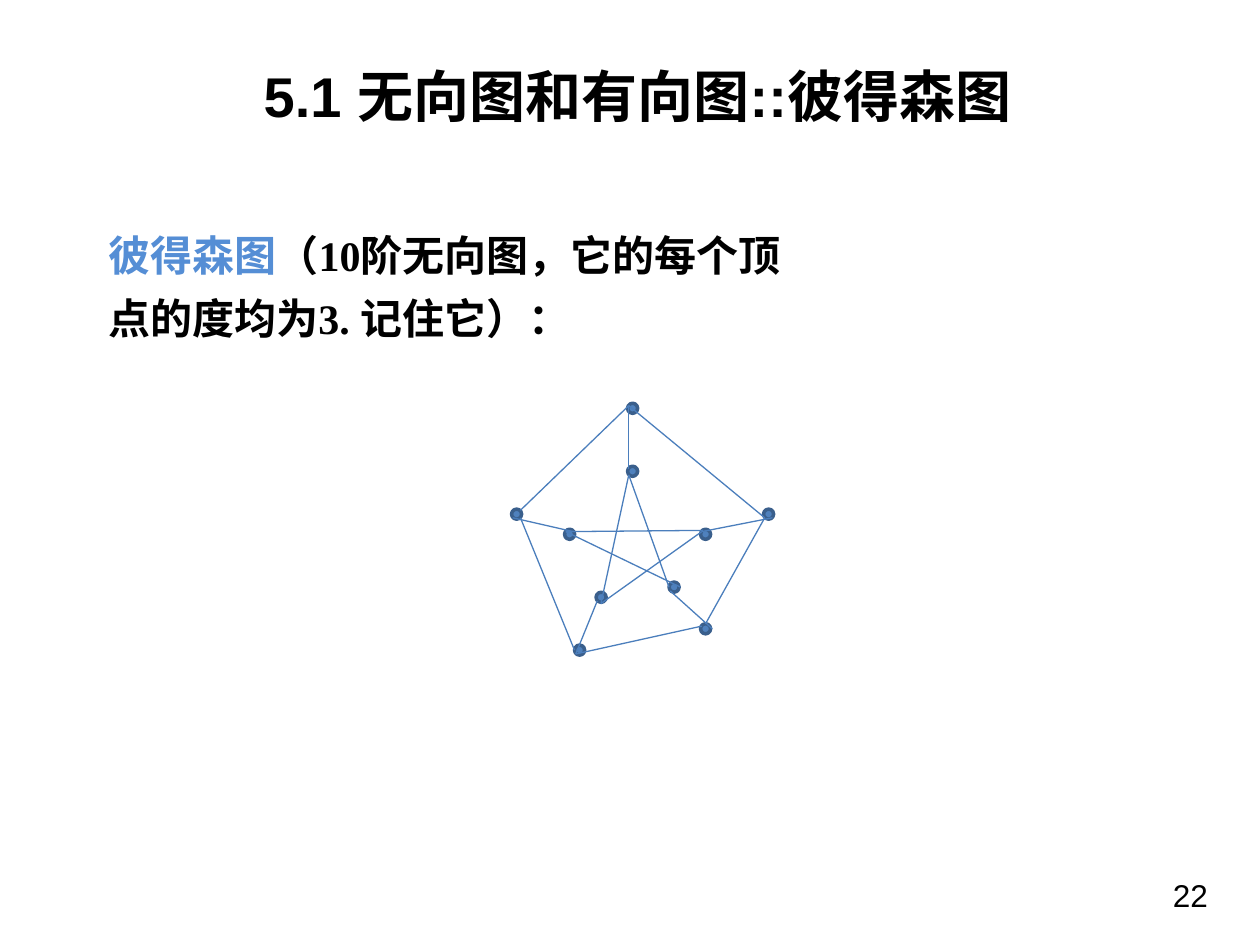
from pptx import Presentation
from pptx import util as u
from pptx.dml.color import RGBColor
from pptx.enum import shapes, text
from pptx.oxml.ns import qn
from lxml import etree

COLORS = {
    "black": "000000",
    "term": "558ED5",
    "vertex": "4F81BD",
    "rim": "3A5F8C",
    "edge": "4B7EBC",
}
VERTEX_SIZE = 5.76

OUTER_VERTICES = [(361.5, 233.3), (439.2, 293.8), (295.2, 293.8), (403.2, 359.3), (331.2, 371.5)]
INNER_VERTICES = [(361.5, 269.3), (325.5, 305.3), (343.5, 341.3), (385.2, 335.5), (403.2, 305.3)]

# Points on the rims of the vertices where several edges meet
OUTER_TOP, OUTER_RIGHT, OUTER_BOTTOM = (359.3, 231.8), (437, 295.9), (329, 373.7)
INNER_TOP, INNER_LEFT, INNER_RIGHT = (359.3, 271.4), (323.3, 303.8), (401, 303.8)
INNER_BOTTOM = (343.4, 344.9)

STAR = [
    (INNER_TOP, (382.3, 335.5)),
    (INNER_TOP, INNER_BOTTOM),
    (INNER_LEFT, (401.8, 303.1)),
    (INNER_LEFT, (388.8, 335.5)),
    (INNER_RIGHT, INNER_BOTTOM),
]
PENTAGON = [
    (OUTER_TOP, (297.4, 291.6)),
    (OUTER_TOP, OUTER_RIGHT),
    (OUTER_RIGHT, (403.2, 356.4)),
    (OUTER_BOTTOM, (401, 357.8)),
    ((297.4, 295.9), (328.3, 371.5)),
]
SPOKES = [
    ((359.3, 267.8), OUTER_TOP),
    ((293, 295.9), (327.6, 303.8)),
    ((341.3, 343.4), OUTER_BOTTOM),
    ((383, 337.7), (407, 359.3)),
    (INNER_RIGHT, (441.4, 295.9)),
]


def color(name):
    return RGBColor.from_string(COLORS[name])


def add_run(paragraph, content, *, size, font, fill="black", bold=False):
    run = paragraph.add_run()
    run.text = content
    run.font.size = u.Pt(size)
    run.font.name = font
    run.font.bold = bold
    run.font.color.rgb = color(fill)


class GraphSlide:
    """Holds the slide and the style of its text boxes, vertices and edges."""

    def __init__(self, slide):
        self.slide = slide

    def text_box(self, left, top, width, height, *, insets=(0, 0, 0, 3.6),
                 align=text.PP_ALIGN.LEFT, spacing=None):
        """Add a text box and return its empty first paragraph."""
        box = self.slide.shapes.add_textbox(*map(u.Pt, (left, top, width, height)))
        frame = box.text_frame
        frame.word_wrap = True
        (frame.margin_left, frame.margin_top,
         frame.margin_right, frame.margin_bottom) = map(u.Pt, insets)
        paragraph = frame.paragraphs[0]
        paragraph.alignment = align
        paragraph.line_spacing = spacing
        return paragraph

    def vertex(self, x, y):
        half = VERTEX_SIZE / 2
        shape = self.slide.shapes.add_shape(
            shapes.MSO_SHAPE.OVAL, u.Pt(x - half), u.Pt(y - half),
            u.Pt(VERTEX_SIZE), u.Pt(VERTEX_SIZE))
        shape.shadow.inherit = False
        shape.fill.solid()
        shape.fill.fore_color.rgb = color("vertex")
        shape.line.color.rgb = color("rim")
        shape.line.width = u.Pt(2)

    def edge(self, start, end):
        connector = self.slide.shapes.add_connector(
            shapes.MSO_CONNECTOR.STRAIGHT, *map(u.Pt, (*start, *end)))
        connector.line.color.rgb = color("edge")
        connector.line.width = u.Pt(0.75)
        etree.SubElement(connector._element.spPr, qn("a:effectLst"))


def main():
    presentation = Presentation()
    presentation.slide_width, presentation.slide_height = u.Pt(720), u.Pt(540)
    page = GraphSlide(presentation.slides.add_slide(presentation.slide_layouts[6]))

    body = page.text_box(62, 124, 384, 62, spacing=1.25)
    body_format = dict(size=24, font="Times New Roman", bold=True)
    add_run(body, "彼得森图", fill="term", **body_format)
    add_run(body, "（10阶无向图，它的每个顶点的度均为3. 记住它）：", **body_format)

    title = page.text_box(84.2, 35.3, 560.2, 42.5, align=text.PP_ALIGN.CENTER)
    add_run(title, "5.1 无向图和有向图::彼得森图", size=32, font="Arial", bold=True)

    for x, y in OUTER_VERTICES + INNER_VERTICES:
        page.vertex(x, y)
    for start, end in STAR + PENTAGON + SPOKES:
        page.edge(start, end)

    number = page.text_box(663.1, 496.8, 51.1, 37.4, insets=(7.2, 3.6, 7.2, 3.6))
    add_run(number, "22", size=18, font="Arial")

    presentation.save("out.pptx")


if __name__ == "__main__":
    main()
